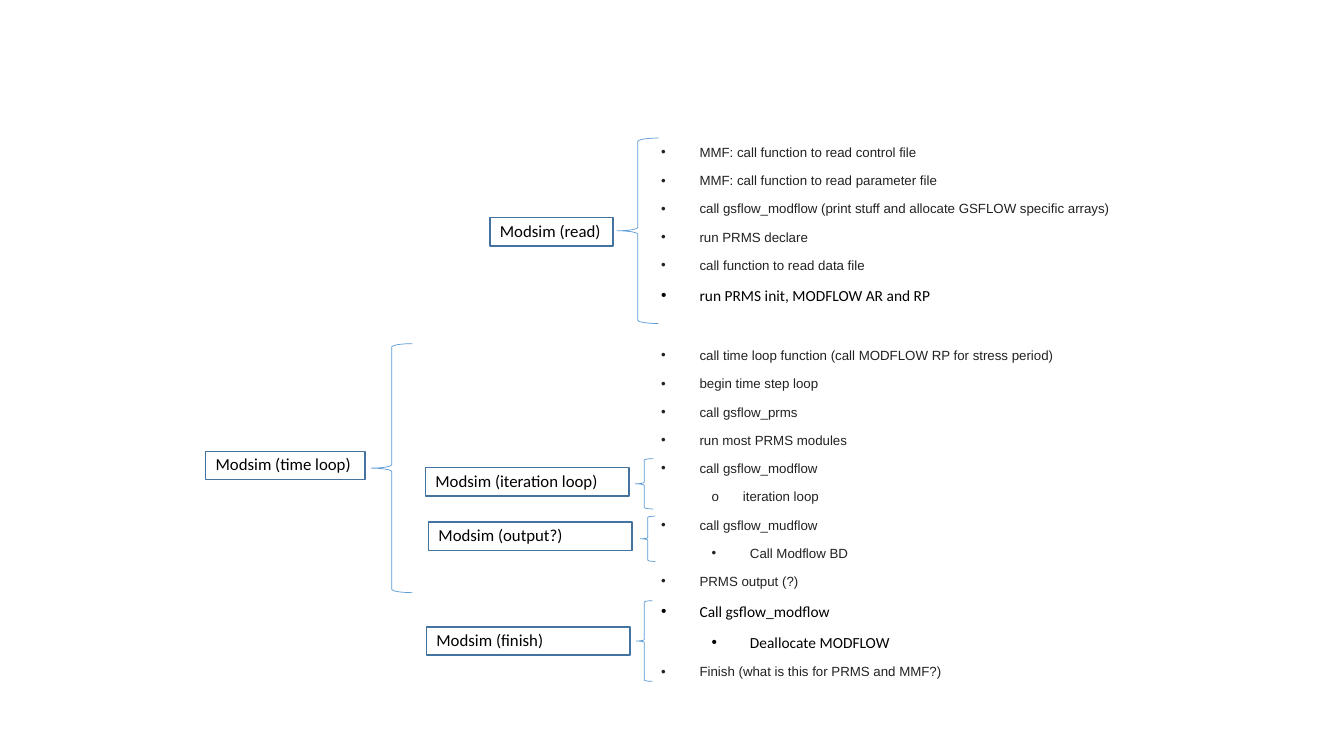
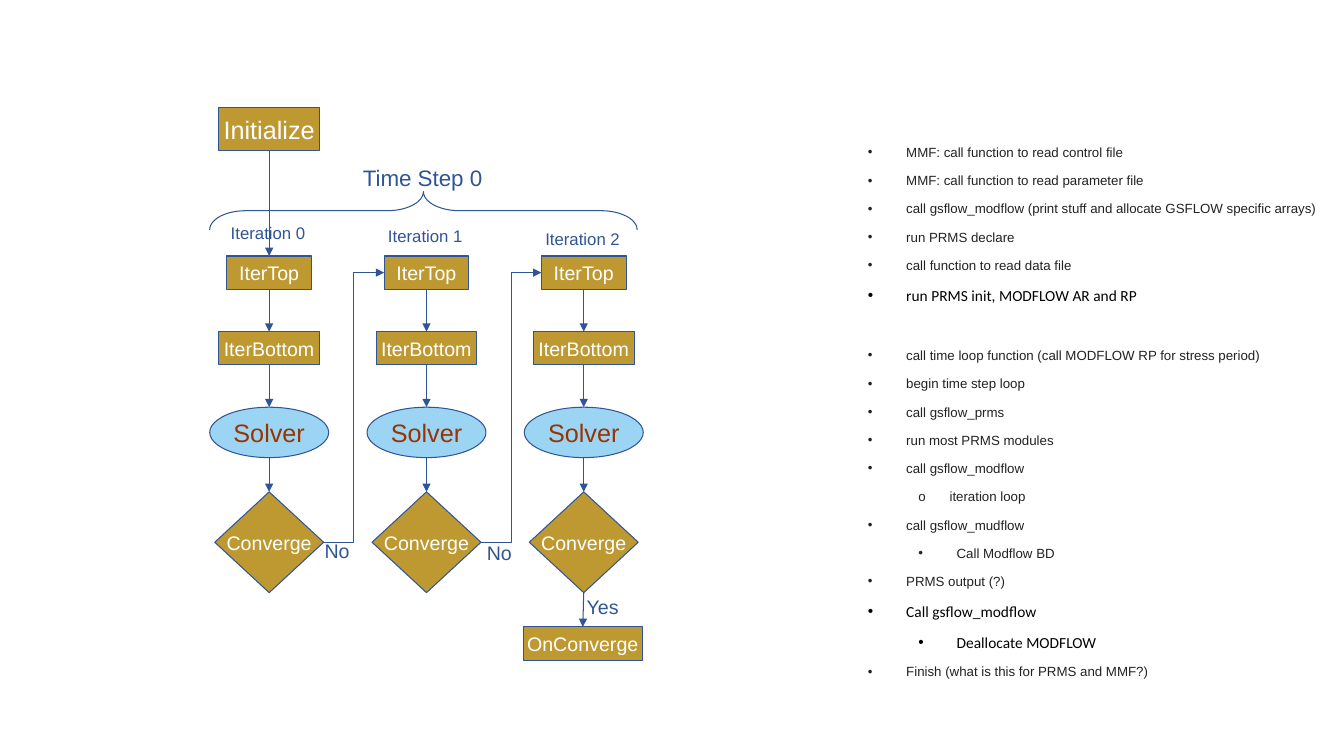
from typing import Any, NamedTuple

from lxml import etree
from pptx import Presentation
from pptx import util as u
from pptx.dml.color import RGBColor
from pptx.enum import shapes, text
from pptx.oxml.ns import qn

PX = 9144  # EMU, 100 px to the inch
SHAPE = shapes.MSO_SHAPE
LINK = shapes.MSO_CONNECTOR
TOP, LEFT, BOTTOM, RIGHT = range(4)

BLACK, DARK, WHITE = "000000", "222222", "FFFFFF"
NAVY, STEEL, SKY = "2F5597", "43739E", "5B9BD5"
GOLD, PALE, RUST = "BE9932", "9CD5F4", "993300"


class Box(NamedTuple):
    x: int
    y: int
    w: int
    h: int


class Font(NamedTuple):
    size: float
    color: str
    name: str = "Arial"


class Step(NamedTuple):
    words: str
    font: Font
    level: int = 0
    bullet: str = "•"
    indent: tuple[int, int] = (38, -38)
    before: int = 0


class Phase(NamedTuple):
    words: str
    box: Box
    brace: Box


class Node(NamedTuple):
    words: str
    y: int
    w: int
    h: int
    size: int = 14
    kind: Any = SHAPE.RECTANGLE
    fill: str = GOLD
    color: str = WHITE


BODY = Font(9.5, DARK)
STRONG = Font(11, BLACK, "Calibri")
PHASE_FONT = Font(12, BLACK, "Calibri")
SUB = {"level": 1, "indent": (88, -38)}

STEPS = [
    Step("MMF: call function to read control file", BODY),
    Step("MMF: call function to read parameter file", BODY),
    Step("call gsflow_modflow (print stuff and allocate GSFLOW specific arrays)", BODY),
    Step("run PRMS declare", BODY),
    Step("call function to read data file", BODY),
    Step("run PRMS init, MODFLOW AR and RP", STRONG),
    Step("call time loop function (call MODFLOW RP for stress period)", BODY, before=22),
    Step("begin time step loop", BODY),
    Step("call gsflow_prms", BODY),
    Step("run most PRMS modules", BODY),
    Step("call gsflow_modflow", BODY),
    Step("iteration loop", BODY, 1, "o", (81, -31)),
    Step("call gsflow_mudflow", BODY),
    Step("Call Modflow BD", BODY, **SUB),
    Step("PRMS output (?)", BODY),
    Step("Call gsflow_modflow", STRONG),
    Step("Deallocate MODFLOW", STRONG, **SUB),
    Step("Finish (what is this for PRMS and MMF?)", BODY),
]

PHASES = [
    Phase("Modsim (read)", Box(486, 216, 122, 28), Box(612, 137, 41, 184)),
    Phase("Modsim (time loop)", Box(204, 448, 158, 28), Box(368, 341, 41, 247)),
    Phase("Modsim (iteration loop)", Box(422, 464, 202, 28), Box(630, 455, 18, 50)),
    Phase("Modsim (output?)", Box(425, 518, 202, 28), Box(635, 512, 15, 45)),
    Phase("Modsim (finish)", Box(423, 622, 202, 28), Box(631, 596, 16, 80)),
]

ITERATIONS = 3
FIRST_CENTER, COLUMN_STEP = 267, 156
INITIALIZE = Node("Initialize", 107, 100, 42, 18)
ITERATION = [
    Node("IterTop", 254, 84, 33),
    Node("IterBottom", 329, 100, 33),
    Node("Solver", 404, 118, 50, 18, SHAPE.OVAL, PALE, RUST),
    Node("Converge", 488, 108, 100, kind=SHAPE.FLOWCHART_DECISION),
]
ON_CONVERGE = Node("OnConverge", 622, 118, 33)


def px(n: int) -> u.Emu:
    return u.Emu(n * PX)


def rgb(value: str) -> RGBColor:
    return RGBColor.from_string(value)


def put(target: Any, values: dict[str, Any]) -> None:
    for name, value in values.items():
        setattr(target, name, value)


def write(p: Any, words: str, font: Font) -> None:
    r = p.add_run()
    r.text = words
    put(r.font, {"size": u.Pt(font.size), "name": font.name})
    r.font.color.rgb = rgb(font.color)


def add_shape(s: Any, kind: Any, box: Box, line: str, width: float, fill: str = "") -> Any:
    sp = s.shapes.add_shape(kind, *map(px, box))
    sp.shadow.inherit = False
    if fill:
        sp.fill.solid()
        sp.fill.fore_color.rgb = rgb(fill)
    else:
        sp.fill.background()
    sp.line.color.rgb = rgb(line)
    sp.line.width = u.Pt(width)
    return sp


def add_label(s: Any, words: str, box: Box, size: int) -> None:
    tf = s.shapes.add_textbox(*map(px, box)).text_frame
    put(tf, {"word_wrap": False, "auto_size": text.MSO_AUTO_SIZE.SHAPE_TO_FIT_TEXT})
    write(tf.paragraphs[0], words, Font(size, NAVY))


def add_steps(s: Any, x: int) -> None:
    """Draw the bulleted call sequence that both slides carry."""
    tf = s.shapes.add_textbox(*map(px, Box(x, 137, 472, 548))).text_frame
    put(tf, {"word_wrap": True, "auto_size": text.MSO_AUTO_SIZE.SHAPE_TO_FIT_TEXT})
    for i, step in enumerate(STEPS):
        p = tf.add_paragraph() if i else tf.paragraphs[0]
        put(p, {"level": step.level, "line_spacing": 1.07,
                "space_before": u.Pt(step.before), "space_after": u.Pt(8)})
        pPr = p._p.get_or_add_pPr()
        for name, value in zip(("marL", "indent"), step.indent):
            pPr.set(name, str(px(value)))
        etree.SubElement(pPr, qn("a:buFont")).set("typeface", "Arial")
        etree.SubElement(pPr, qn("a:buChar")).set("char", step.bullet)
        write(p, step.words, step.font)


def add_phase(s: Any, phase: Phase) -> None:
    sp = add_shape(s, SHAPE.RECTANGLE, phase.box, STEEL, 1)
    tf = sp.text_frame
    put(tf, {"word_wrap": True, "vertical_anchor": text.MSO_ANCHOR.MIDDLE,
             "margin_top": 0, "margin_bottom": px(3)})
    p = tf.paragraphs[0]
    p.alignment = text.PP_ALIGN.LEFT
    write(p, phase.words, PHASE_FONT)
    add_shape(s, SHAPE.LEFT_BRACE, phase.brace, SKY, 0.5)


def add_node(s: Any, node: Node, center: int) -> Any:
    box = Box(center - node.w // 2, node.y, node.w, node.h)
    sp = add_shape(s, node.kind, box, NAVY, 0.75, node.fill)
    tf = sp.text_frame
    put(tf, {"word_wrap": False, "vertical_anchor": text.MSO_ANCHOR.MIDDLE})
    p = tf.paragraphs[0]
    p.alignment = text.PP_ALIGN.CENTER
    write(p, node.words, Font(node.size, node.color))
    return sp


def side_point(sp: Any, side: int) -> tuple[int, int]:
    across = {LEFT: 0, RIGHT: sp.width}.get(side, sp.width // 2)
    down = {TOP: 0, BOTTOM: sp.height}.get(side, sp.height // 2)
    return sp.left + across, sp.top + down


def add_arrow(s: Any, a: Any, b: Any, a_side: int = BOTTOM, b_side: int = TOP,
              kind: Any = LINK.STRAIGHT) -> None:
    """Link two nodes; an oval numbers its sites differently, so it stays unjoined."""
    c = s.shapes.add_connector(kind, *side_point(a, a_side), *side_point(b, b_side))
    for sp, side, join in ((a, a_side, c.begin_connect), (b, b_side, c.end_connect)):
        if sp.auto_shape_type != SHAPE.OVAL:
            join(sp, side)
    c.line.color.rgb = rgb(NAVY)
    c.line.width = u.Pt(0.75)
    etree.SubElement(c.line._get_or_add_ln(), qn("a:tailEnd")).set("type", "triangle")
    etree.SubElement(c._element.spPr, qn("a:effectLst"))


def build_phases(s: Any) -> None:
    add_steps(s, 646)
    for phase in PHASES:
        add_phase(s, phase)


def build_flow(s: Any) -> None:
    add_steps(s, 851)
    centers = [FIRST_CENTER + i * COLUMN_STEP for i in range(ITERATIONS)]
    start = add_node(s, INITIALIZE, centers[0])
    columns = [[add_node(s, node, center) for node in ITERATION] for center in centers]
    finish = add_node(s, ON_CONVERGE, centers[-1] - 1)

    add_arrow(s, start, columns[0][0])
    for column in columns:
        for a, b in zip(column, column[1:]):
            add_arrow(s, a, b)
    for column, following in zip(columns, columns[1:]):
        add_arrow(s, column[-1], following[0], RIGHT, LEFT, LINK.ELBOW)
    add_arrow(s, columns[-1][-1], finish)

    brace = add_shape(s, SHAPE.RIGHT_BRACE, Box(401, -3, 38, 424), NAVY, 0.75)
    brace.rotation = 270
    brace.adjustments[0] = 0.94
    add_label(s, "Time Step 0", Box(350, 158, 140, 37), 16)
    for i, center in enumerate(centers):
        add_label(s, f"Iteration {i}", Box(center - 48, 216 + 3 * i, 94, 30), 12)
    add_label(s, "No", Box(312, 530, 45, 33), 14)
    add_label(s, "No", Box(473, 532, 45, 33), 14)
    add_label(s, "Yes", Box(572, 585, 54, 33), 14)


def main() -> None:
    prs = Presentation()
    put(prs, {"slide_width": px(1333), "slide_height": px(750)})
    for build in (build_phases, build_flow):
        build(prs.slides.add_slide(prs.slide_layouts[6]))
    prs.save("out.pptx")


if __name__ == "__main__":
    main()
